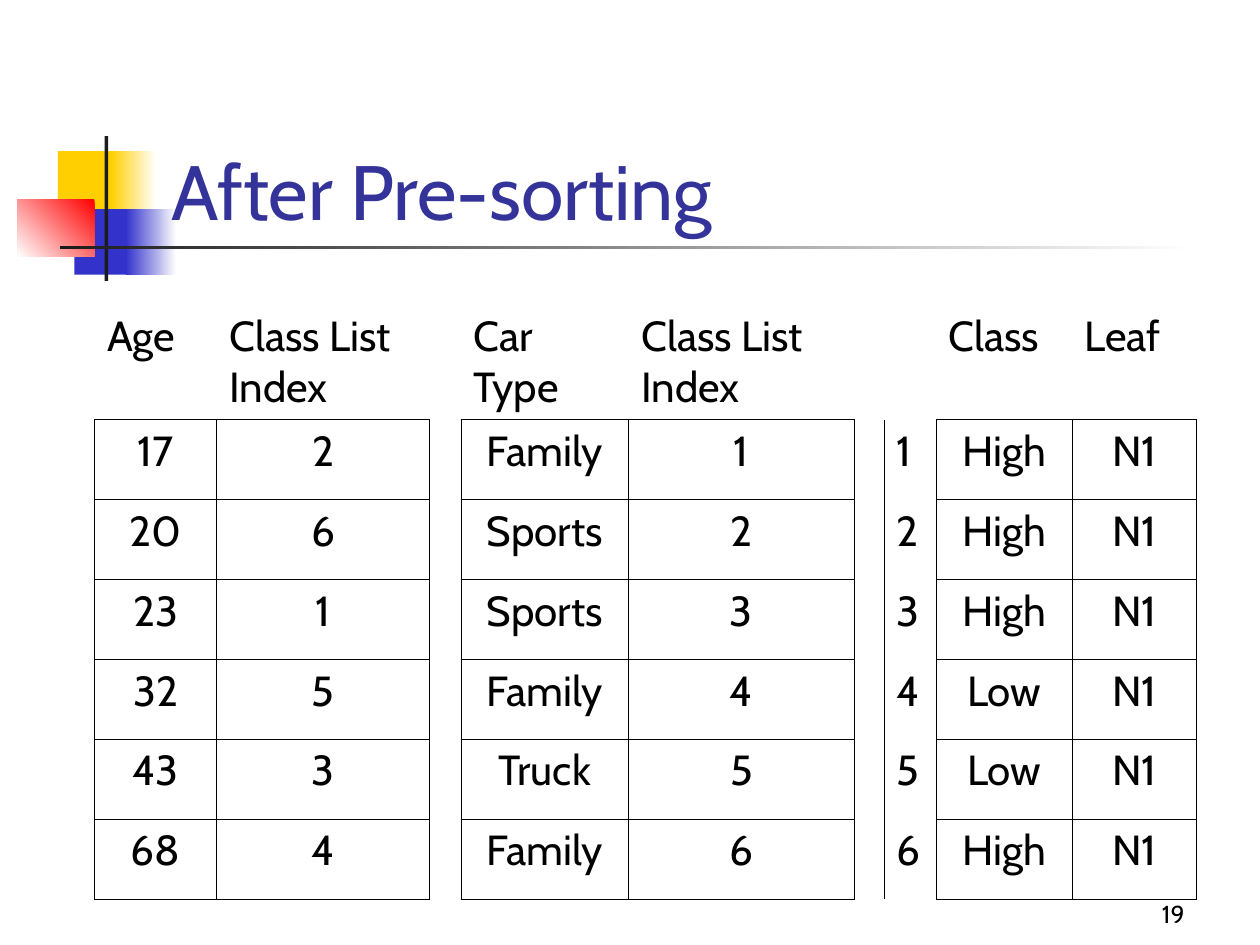
from dataclasses import dataclass

from lxml.etree import SubElement as Sub
from pptx import Presentation
from pptx.dml.color import RGBColor as Rgb
from pptx.enum.shapes import MSO_SHAPE as Kind
from pptx.enum.text import MSO_ANCHOR as Anchor, MSO_AUTO_SIZE as Auto, PP_ALIGN as Align
from pptx.oxml.ns import qn
from pptx.util import Inches, Pt


@dataclass(frozen=True)
class Theme:
    font: str = "Cabin"
    head: int = 44
    body: int = 24
    note: int = 14
    rule: float = 0.45
    ink: str = "000000"
    title: str = "333399"
    gold: str = "FFCF01"
    blue: str = "3333CC"
    red: str = "FF0000"
    dark: str = "1C1C1C"
    white: str = "FFFFFF"
    bare: str = "{2D5ABB26-0587-4C30-8999-92F81FD0307C}"


class Deck:
    """Draws on one slide over a grid of 100 columns by 75 rows."""

    def __init__(self, theme):
        self.theme = theme
        self.file = Presentation()
        self.file.slide_width, self.file.slide_height = Inches(10), Inches(7.5)
        self.unit = self.file.slide_width / 100
        self.page = self.file.slides.add_slide(self.file.slide_layouts[5])

    def span(self, *units):
        return [round(count * self.unit) for count in units]

    def words(self, para, text, size, color, align=Align.LEFT):
        para.alignment = align
        run = para.add_run()
        run.text = text
        run.font.name, run.font.size = self.theme.font, Pt(size)
        run.font.color.rgb = Rgb.from_string(color)

    def block(self, box, *colors, angle=180):
        shape = self.page.shapes.add_shape(Kind.RECTANGLE, *self.span(*box))
        shape.shadow.inherit = False
        shape.line.fill.background()
        if len(colors) == 1:
            shape.fill.solid()
            shape.fill.fore_color.rgb = Rgb.from_string(colors[0])
            return
        shape.fill.gradient()
        shape.fill.gradient_angle = angle
        for stop, color in zip(shape.fill.gradient_stops, colors):
            stop.color.rgb = Rgb.from_string(color)

    def title(self, box, text):
        shape = self.page.shapes.title
        shape.left, shape.top, shape.width, shape.height = self.span(*box)
        self.page.shapes._spTree.append(shape._element)
        frame = shape.text_frame
        frame.auto_size, frame.vertical_anchor = Auto.NONE, Anchor.BOTTOM
        self.words(frame.paragraphs[0], text, self.theme.head, self.theme.title)

    def note(self, box, text):
        frame = self.page.shapes.add_textbox(*self.span(*box)).text_frame
        frame.word_wrap, frame.vertical_anchor = True, Anchor.BOTTOM
        self.words(frame.paragraphs[0], text, self.theme.note, self.theme.ink, Align.RIGHT)

    def edge(self, cell, side):
        line = Sub(cell._tc.get_or_add_tcPr(), qn(f"a:ln{side}"), w=str(Pt(self.theme.rule)))
        Sub(Sub(line, qn("a:solidFill")), qn("a:srgbClr"), val=self.theme.ink)

    def table(self, left, top, wide, tall, rows, boxed):
        box = self.span(left, top, sum(wide), sum(tall))
        frame = self.page.shapes.add_table(len(tall), len(wide), *box)
        grid = frame.table
        grid.first_row = grid.horz_banding = False
        next(frame._element.iter(qn("a:tableStyleId"))).text = self.theme.bare
        for col, width in zip(grid.columns, self.span(*wide)):
            col.width = width
        for row, height in zip(grid.rows, self.span(*tall)):
            row.height = height

        def framed(r, c):
            return 0 < r < len(tall) and c in boxed

        sides = {"L": (0, -1), "R": (0, 1), "T": (-1, 0), "B": (1, 0)}
        for r, row in enumerate(rows):
            for c, text in enumerate(row):
                cell = grid.cell(r, c)
                for side, (down, along) in sides.items():
                    if framed(r, c) or framed(r + down, c + along):
                        self.edge(cell, side)
                cell.fill.background()
                if text:
                    align = Align.CENTER if framed(r, c) else Align.LEFT
                    para = cell.text_frame.paragraphs[0]
                    self.words(para, text, self.theme.body, self.theme.ink, align)


def main():
    theme = Theme()
    deck = Deck(theme)
    deck.block((4.6, 12, 4.8, 5.2), theme.gold)
    deck.block((8.8, 12, 3.6, 5.2), theme.white, theme.gold)
    deck.block((5.9, 16.6, 4.6, 5.2), theme.blue)
    deck.block((10, 16.6, 4, 5.2), theme.white, theme.blue)
    deck.block((1.4, 15.8, 6.1, 4.6), theme.red, theme.white, angle=225)
    deck.block((8.3, 10.8, 0.3, 11.5), theme.dark)
    deck.block((4.8, 19.5, 90, 0.3), theme.white, theme.dark)
    deck.title((12.6, 6.7, 85.2, 12.5), "After Pre-sorting")

    ages = [("17", "2"), ("20", "6"), ("23", "1"), ("32", "5"), ("43", "3"), ("68", "4")]
    cars = ["Family", "Sports", "Sports", "Family", "Truck", "Family"]
    risks = ["High", "High", "High", "Low", "Low", "High"]
    index = "Class List Index"
    rows = [("Age", index, "", "Car Type", index, "", "", "Class", "Leaf")]
    for num, (age, car, risk) in enumerate(zip(ages, cars, risks), 1):
        rows.append((*age, "", car, str(num), "", str(num), risk, "N1"))
    wide = [9.7, 16.9, 2.5, 13.3, 17.9, 2.4, 4.1, 10.8, 9.9]
    deck.table(7.5, 24.2, wide, [9] + [6.34] * 6, rows, {0, 1, 3, 4, 7, 8})
    deck.note((74.2, 69.2, 20.8, 5), "19")
    deck.file.save("out.pptx")


if __name__ == "__main__":
    main()
